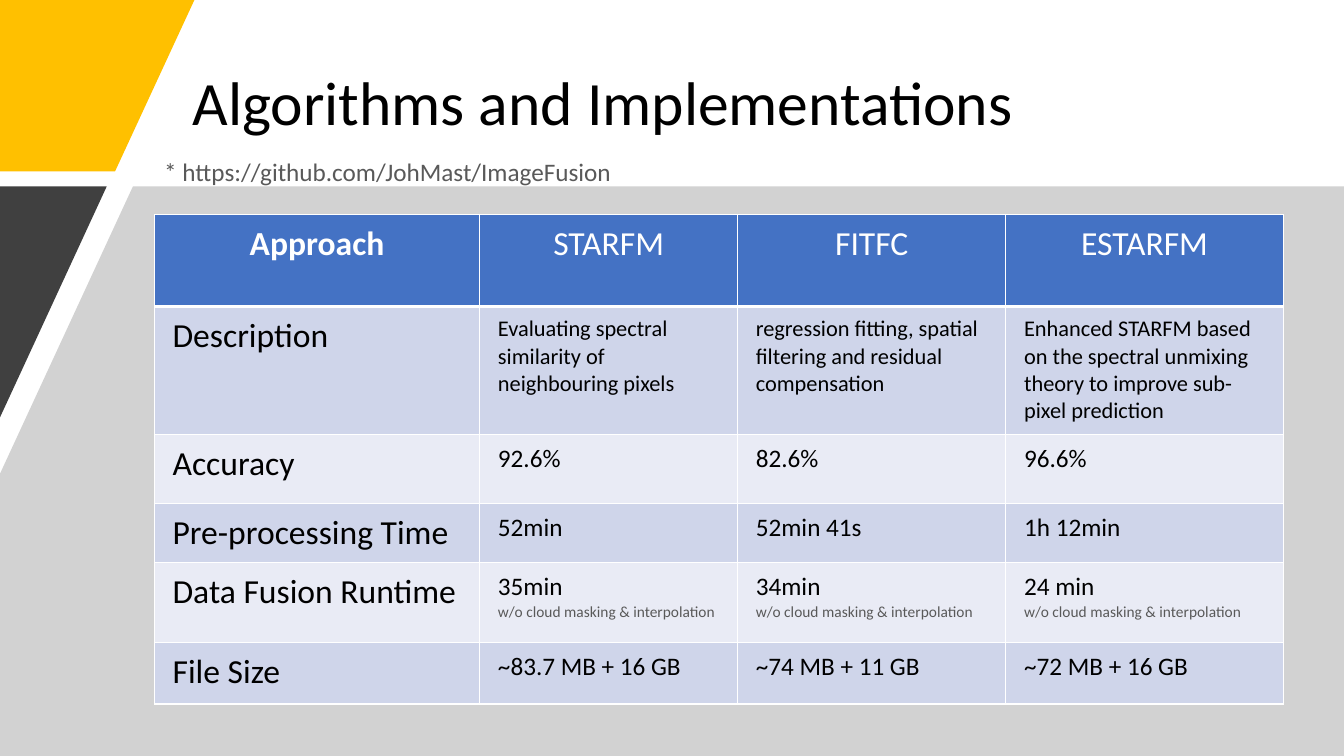
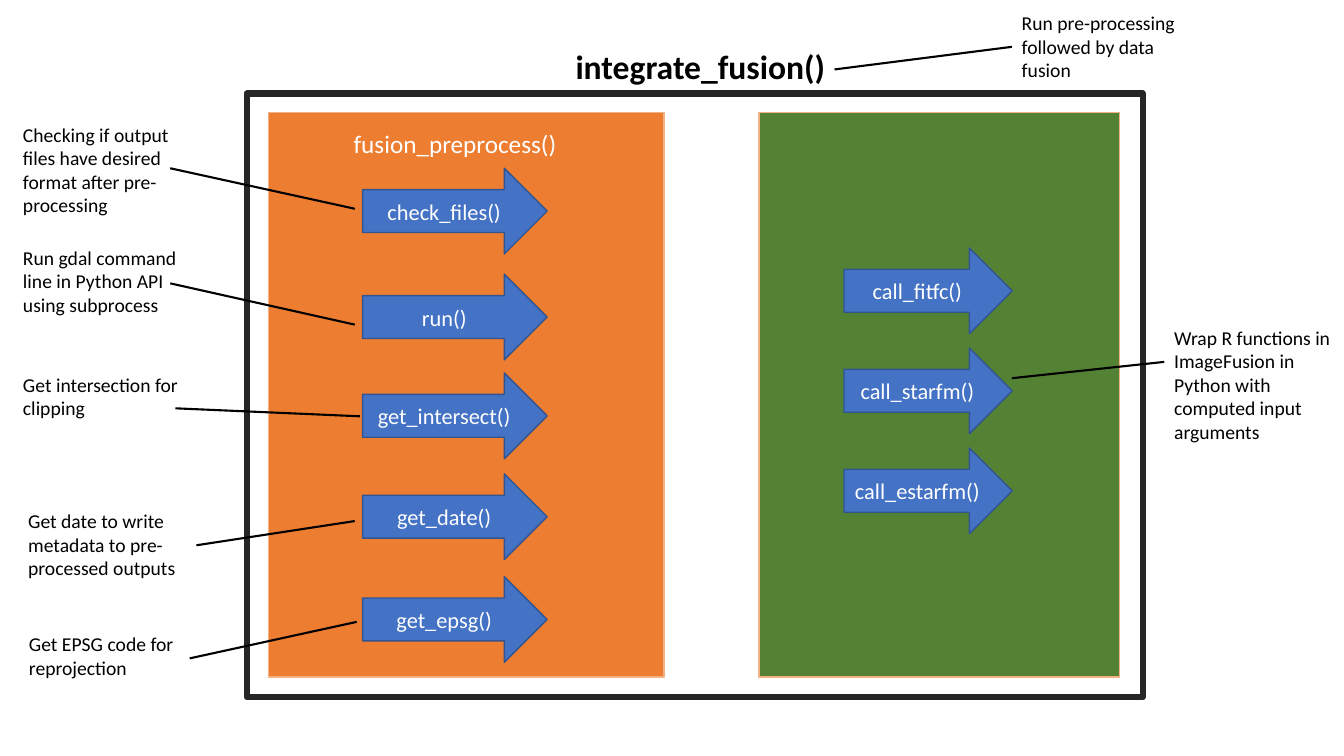
from lxml import etree
from pptx import Presentation
from pptx.dml.color import RGBColor
from pptx.enum import shapes, text
from pptx.oxml import ns
from pptx.util import Cm, Pt

BLACK = RGBColor(0x00, 0x00, 0x00)
WHITE = RGBColor(0xFF, 0xFF, 0xFF)
BLUE = RGBColor(0x44, 0x72, 0xC4)
BLUE_EDGE = RGBColor(0x32, 0x54, 0x91)
ROW_TINTS = (RGBColor(0xE9, 0xEB, 0xF5), RGBColor(0xCF, 0xD5, 0xEA))
ORANGE = RGBColor(0xED, 0x7D, 0x31)
PEACH = RGBColor(0xF4, 0xB1, 0x83)
GREEN = RGBColor(0x54, 0x82, 0x35)
YELLOW = RGBColor(0xFF, 0xC0, 0x00)
CHARCOAL = RGBColor(0x40, 0x40, 0x40)
FRAME = RGBColor(0x26, 0x26, 0x26)
LIGHT_GREY = RGBColor(0xD2, 0xD2, 0xD2)
MUTED = RGBColor(0x59, 0x59, 0x59)
FONT = "Calibri"
LEFT, CENTER = text.PP_ALIGN.LEFT, text.PP_ALIGN.CENTER


def cm(*lengths):
    return [Cm(length) for length in lengths]


def write(frame, words, size=18, color=BLACK, bold=False, align=LEFT,
          spacing=None, append=False):
    """Fill a text frame, one paragraph a line; append keeps what is there."""
    frame.word_wrap = True
    for number, line in enumerate(words.split("\n")):
        fresh = append or number > 0
        paragraph = frame.add_paragraph() if fresh else frame.paragraphs[0]
        paragraph.alignment = align
        if spacing:
            paragraph.line_spacing = spacing
        run = paragraph.add_run()
        run.text = line
        run.font.name, run.font.size = FONT, Pt(size)
        run.font.bold, run.font.color.rgb = bold, color


def set_cell_borders(cell, bottom):
    properties = cell._tc.get_or_add_tcPr()
    for side, width in (("L", 1), ("R", 1), ("T", 1), ("B", bottom)):
        line = etree.SubElement(properties, ns.qn(f"a:ln{side}"), w=str(Pt(width)))
        fill = etree.SubElement(line, ns.qn("a:solidFill"))
        etree.SubElement(fill, ns.qn("a:srgbClr"), val=str(WHITE))


class Deck:
    """Holds the presentation, its style and the slide being built."""

    def __init__(self):
        self.presentation = Presentation()
        self.presentation.slide_width = Cm(33.87)
        self.presentation.slide_height = Cm(19.05)
        self.slide = None

    def new_slide(self, title, box, **style):
        layout = self.presentation.slide_layouts[5]
        self.slide = self.presentation.slides.add_slide(layout)
        heading = self.slide.shapes.title
        heading.left, heading.top, heading.width, heading.height = cm(*box)
        heading.text_frame.auto_size = text.MSO_AUTO_SIZE.NONE
        heading.text_frame.vertical_anchor = text.MSO_ANCHOR.MIDDLE
        write(heading.text_frame, title, **style)

    def paint(self, shape, fill=None, edge=None, weight=1):
        shape.shadow.inherit = False
        if fill is None:
            shape.fill.background()
        else:
            shape.fill.solid()
            shape.fill.fore_color.rgb = fill
        if edge is None:
            shape.line.fill.background()
        else:
            shape.line.color.rgb = edge
            shape.line.width = Pt(weight)

    def polygon(self, points, fill):
        start, *rest = [cm(*point) for point in points]
        outline = self.slide.shapes.build_freeform(*start)
        outline.add_line_segments(rest, close=True)
        self.paint(outline.convert_to_shape(), fill)

    def panel(self, box, **look):
        rectangle = self.slide.shapes.add_shape(
            shapes.MSO_SHAPE.RECTANGLE, *cm(*box))
        self.paint(rectangle, **look)

    def step(self, label, box):
        arrow = self.slide.shapes.add_shape(
            shapes.MSO_SHAPE.RIGHT_ARROW, *cm(*box))
        self.paint(arrow, BLUE, BLUE_EDGE)
        arrow.text_frame.vertical_anchor = text.MSO_ANCHOR.MIDDLE
        write(arrow.text_frame, label, size=16, color=WHITE, align=CENTER)

    def label(self, words, box, **style):
        caption = self.slide.shapes.add_textbox(*cm(*box))
        write(caption.text_frame, words, **style)
        return caption

    def pointer(self, start, end):
        line = self.slide.shapes.add_connector(
            shapes.MSO_CONNECTOR.STRAIGHT, *cm(*start, *end))
        line.line.color.rgb = BLACK
        line.line.width = Pt(1.5)
        etree.SubElement(line._element.spPr, ns.qn("a:effectLst"))
        return line

    def table(self, rows, origin, widths, heights):
        grid = self.slide.shapes.add_table(
            len(rows), len(widths), *cm(*origin, sum(widths), sum(heights))).table
        for column, width in zip(grid.columns, widths):
            column.width = Cm(width)
        for r, (row, height) in enumerate(zip(rows, heights)):
            grid.rows[r].height = Cm(height)
            for c, words in enumerate(row):
                self.fill_cell(grid.cell(r, c), words, r, c)

    def fill_cell(self, cell, words, r, c):
        header = r == 0
        cell.margin_left = cell.margin_right = Cm(0.46)
        cell.margin_top = cell.margin_bottom = Cm(0.23)
        set_cell_borders(cell, bottom=3 if header else 1)
        cell.fill.solid()
        cell.fill.fore_color.rgb = BLUE if header else ROW_TINTS[r % 2]
        value, _, remark = words.partition("\n")
        if header:
            write(cell.text_frame, value, size=24, color=WHITE,
                  bold=c == 0, align=CENTER)
        else:
            size = 24 if c == 0 else 16 if r == 1 else 18
            write(cell.text_frame, value, size=size)
        if remark:
            write(cell.text_frame, remark, size=11, color=MUTED, append=True)


def build_comparison(deck):
    deck.new_slide("Algorithms and Implementations", (4.6, 1.02, 26, 3.3),
                   size=44, spacing=0.9)
    band_top, right, bottom = 4.7, 33.87, 19.05
    deck.polygon([(0, 0), (4.9, 0), (2.9, 4.32), (0, 4.32)], YELLOW)
    deck.polygon([(3.35, band_top), (right, band_top), (right, bottom),
                  (0, bottom), (0, 11.94)], LIGHT_GREY)
    deck.polygon([(0, band_top), (2.69, band_top), (0, 10.52)], CHARCOAL)

    remark = "\nw/o cloud masking & interpolation"
    rows = [
        ("Approach", "STARFM", "FITFC", "ESTARFM"),
        ("Description",
         "Evaluating spectral similarity of neighbouring pixels",
         "regression fitting, spatial filtering and residual compensation",
         "Enhanced STARFM based on the spectral unmixing theory to improve "
         "sub-pixel prediction"),
        ("Accuracy", "92.6%", "82.6%", "96.6%"),
        ("Pre-processing Time", "52min", "52min 41s", "1h 12min"),
        ("Data Fusion Runtime", "35min" + remark, "34min" + remark,
         "24 min" + remark),
        ("File Size", "~83.7 MB + 16 GB", "~74 MB + 11 GB", "~72 MB + 16 GB"),
    ]
    deck.table(rows, (3.89, 5.41), widths=(8.2, 6.5, 6.76, 6.99),
               heights=(2.31, 3.23, 1.73, 1.5, 2.01, 1.55))
    deck.label("* https://github.com/JohMast/ImageFusion",
               (3.89, 3.81, 13.3, 1.02), color=MUTED)


def build_call_overview(deck):
    deck.new_slide("integrate_fusion()", (14.25, 1.04, 15.5, 1.27),
                   size=24, bold=True)
    panel_top, panel_height = 2.84, 14.22
    deck.panel((6.76, panel_top, 9.98, panel_height), fill=ORANGE, edge=PEACH)
    deck.panel((19.13, panel_top, 9.09, panel_height), fill=GREEN, edge=PEACH)
    deck.panel((6.22, 2.36, 22.58, 15.21), edge=FRAME, weight=4.5)
    deck.label("fusion_preprocess()", (8.66, 3.12, 6.68, 1.02), color=WHITE)

    step_height = 2.16
    preprocessing = [("check_files()", 4.24), ("run()", 6.91),
                     ("get_intersect()", 9.4), ("get_date()", 11.94),
                     ("get_epsg()", 14.53)]
    for name, top in preprocessing:
        deck.step(name, (9.14, top, 4.65, step_height))
    for i, name in enumerate(("call_fitfc()", "call_starfm()", "call_estarfm()")):
        deck.step(name, (21.27, 6.25 + 2.52 * i, 4.24, step_height))

    notes = [
        ("Checking if output files have desired format after pre-processing",
         (0.33, 2.97, 5.03, 2.64), (4.29, 4.24), (8.94, 5.26)),
        ("Run gdal command line in Python API using subprocess",
         (0.33, 6.07, 5.03, 2.06), (4.29, 7.14), (8.94, 8.18)),
        ("Get intersection for clipping",
         (0.33, 9.27, 5.03, 1.45), (4.42, 10.29), (9.07, 10.49)),
        ("Get date to write metadata to pre-processed outputs",
         (0.46, 12.7, 5.03, 2.06), (4.95, 13.74), (8.94, 13.13)),
        ("Get EPSG code for\nreprojection",
         (0.48, 15.8, 5.03, 1.45), (4.78, 16.59), (8.99, 15.67)),
        ("Wrap R functions in\nImageFusion in Python with computed input arguments",
         (29.34, 8.08, 4.53, 3.25), (29.34, 9.12), (25.5, 9.53)),
    ]
    for words, box, start, end in notes:
        deck.label(words, box, size=14)
        deck.pointer(start, end)

    summary = deck.label("Run pre-processing followed by data fusion",
                         (25.5, 0.15, 5.03, 2.06), size=14)
    deck.pointer((25.5, 1.18), (21.03, 1.75)).begin_connect(summary, 1)


def main():
    deck = Deck()
    build_comparison(deck)
    build_call_overview(deck)
    deck.presentation.save("out.pptx")


if __name__ == "__main__":
    main()
